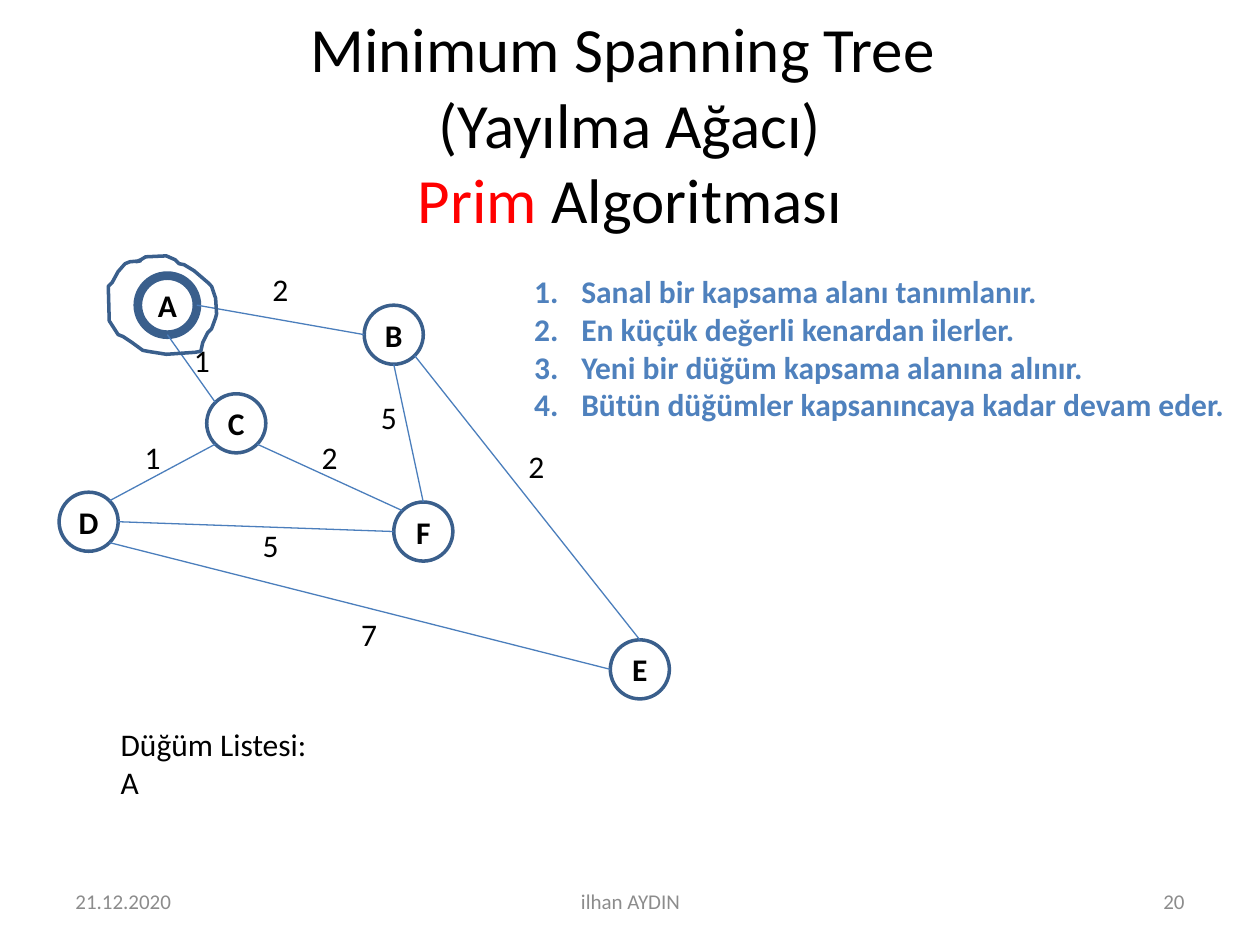
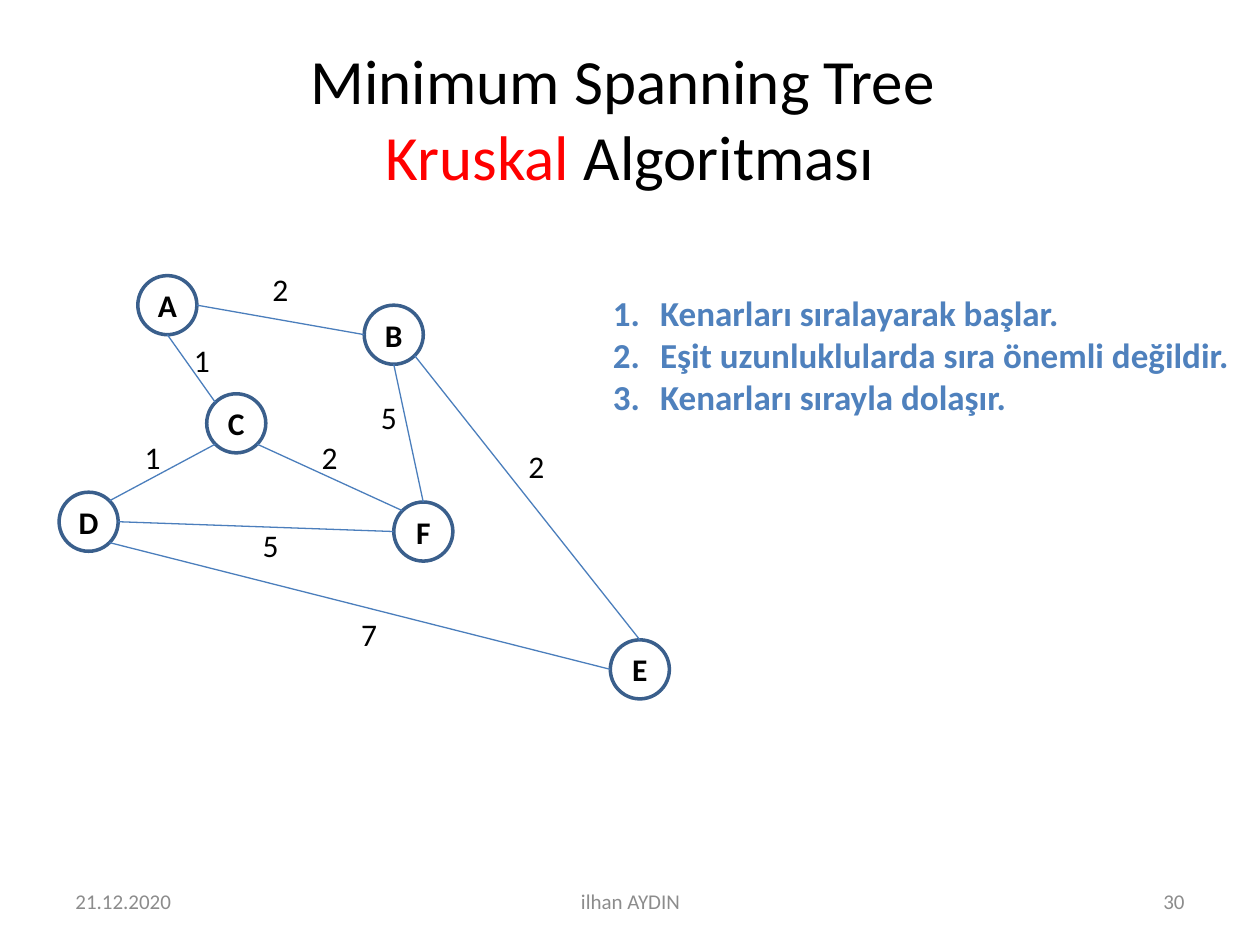
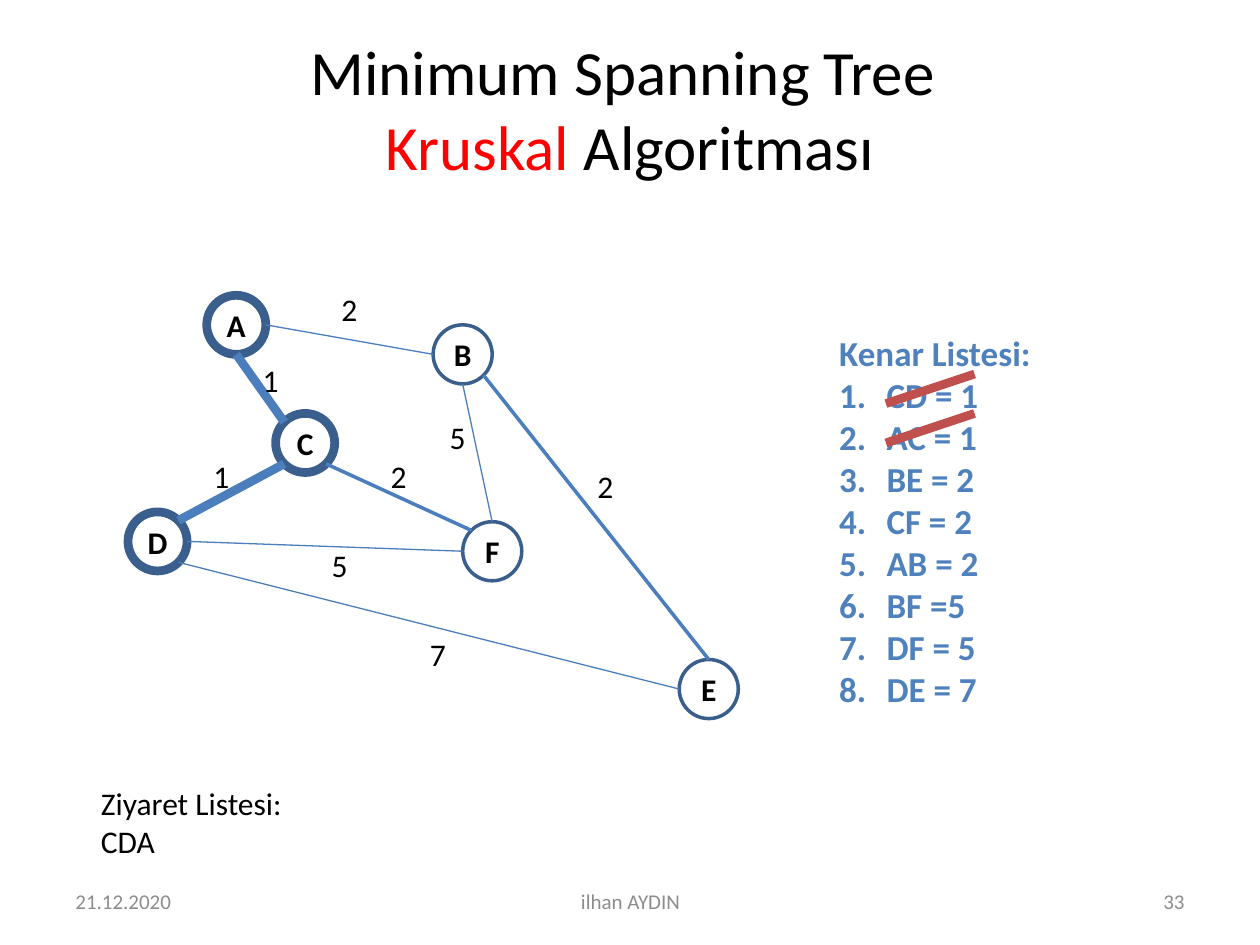
import math

from lxml import etree
from pptx import Presentation
from pptx import util as u
from pptx.dml.color import RGBColor
from pptx.enum import shapes, text
from pptx.oxml import ns

# Shared style
BLACK = RGBColor(0x00, 0x00, 0x00)
RED = RGBColor(0xFF, 0x00, 0x00)
GREY = RGBColor(0x8C, 0x8C, 0x8C)
LIST_BLUE = RGBColor(0x4F, 0x81, 0xBD)
NODE_BLUE = RGBColor(0x3A, 0x5F, 0x8C)
EDGE_BLUE = RGBColor(0x4B, 0x7E, 0xBC)
STRIKE_RED = RGBColor(0xC0, 0x50, 0x4D)
FONT = "Calibri"
LEFT, CENTER, RIGHT = text.PP_ALIGN.LEFT, text.PP_ALIGN.CENTER, text.PP_ALIGN.RIGHT
TOP, MIDDLE = text.MSO_ANCHOR.TOP, text.MSO_ANCHOR.MIDDLE

# The slide is a grid of 128 columns and 96 rows with square cells
COLUMNS, ROWS = 128, 96
WIDTH, HEIGHT = u.Inches(10), u.Inches(7.5)
CELL = WIDTH / COLUMNS

# The graph: node corners, edges with their end directions, weights and label corners
NODE_SIZE = 6
NODES = {"A": (14, 28), "C": (21, 40), "F": (40, 51),
         "D": (6, 50), "B": (37, 31), "E": (62, 65)}
EAST, SOUTH_EAST, SOUTH, SOUTH_WEST, WEST, NORTH_WEST, NORTH, NORTH_EAST = range(0, 360, 45)
EDGES = {
    "AB": (EAST, WEST, "2", (26, 27)),
    "DF": (EAST, WEST, "5", (25, 53)),
    "CF": (SOUTH_EAST, NORTH_WEST, "2", (31, 44)),
    "DC": (NORTH_EAST, SOUTH_WEST, "1", (13, 44)),
    "AC": (SOUTH, NORTH_WEST, "1", (18, 34.2)),
    "BE": (SOUTH_EAST, NORTH, "2", (52, 45)),
    "DE": (SOUTH_EAST, WEST, "7", (35, 62)),
    "BF": (SOUTH, NORTH, "5", (37, 40)),
}
THIN, MEDIUM, THICK = 0.75, 2, 5

# Hand-drawn boundary round the covered node A
COVER = [
    (14.3, 26.5), (13.2, 26.6), (12.7, 26.8), (12, 27.6), (11.4, 28.7), (11, 29.1),
    (11.1, 32.6), (12, 34), (12.5, 34.2), (13.4, 34.8), (14.5, 35.6), (15, 35.7),
    (16.9, 36), (19.8, 35.8), (20.4, 35.7), (20.6, 34.8), (21.1, 33.8), (21.5, 33.4),
    (21.9, 32.3), (22, 31.9), (21.9, 30.3), (21.5, 29.1), (21.1, 28.7), (19.7, 27.5),
    (18.7, 26.9), (18.2, 26.8), (17.8, 26.4), (16.9, 26), (14.8, 26.1), (14.3, 26.4),
    (13.8, 26.6),
]


def cells(*lengths):
    return [u.Emu(round(length * CELL)) for length in lengths]


def number(paragraph):
    properties = paragraph._p.get_or_add_pPr()
    properties.set("marL", str(u.Inches(0.375)))
    properties.set("indent", str(-u.Inches(0.375)))
    etree.SubElement(properties, ns.qn("a:buFont"), typeface="+mj-lt")
    etree.SubElement(properties, ns.qn("a:buAutoNum"), type="arabicPeriod")


def write(frame, paragraphs, size=18, color=BLACK, bold=False, align=LEFT,
          anchor=TOP, wrap=True, numbered_from=None):
    """Fill a frame; a paragraph is a string or a list of (words, colour) runs."""
    frame.word_wrap = wrap
    frame.vertical_anchor = anchor
    for index, runs in enumerate(paragraphs):
        paragraph = frame.add_paragraph() if index else frame.paragraphs[0]
        paragraph.alignment = align
        if numbered_from is not None and index >= numbered_from:
            number(paragraph)
        for words, run_color in [(runs, color)] if isinstance(runs, str) else runs:
            for line_index, line in enumerate(words.split("\n")):
                if line_index:
                    paragraph.add_line_break()
                if line:
                    run = paragraph.add_run()
                    run.text = line
                    run.font.name, run.font.size = FONT, u.Pt(size)
                    run.font.bold, run.font.color.rgb = bold, run_color


class Deck:
    def __init__(self):
        self.presentation = Presentation()
        self.presentation.slide_width = WIDTH
        self.presentation.slide_height = HEIGHT
        self.slide = None

    def new_slide(self, page, title_rows, heading, algorithm):
        self.slide = self.presentation.slides.add_slide(self.presentation.slide_layouts[6])
        top, height = title_rows
        title = [(heading, BLACK), (algorithm, RED), (" Algoritması", BLACK)]
        self.words((6.4, top, 115.2, height), [title], size=36, align=CENTER, anchor=MIDDLE)
        for left, width, footer, align in ((6.4, 29.8, "21.12.2020", LEFT),
                                           (91.8, 29.8, page, RIGHT),
                                           (43.8, 40.5, "ilhan AYDIN", CENTER)):
            self.words((left, 89, width, 5.1), [footer], size=12, color=GREY,
                       align=align, anchor=MIDDLE)

    def words(self, area, paragraphs, **style):
        box = self.slide.shapes.add_textbox(*cells(*area))
        write(box.text_frame, paragraphs, **style)

    def steps(self, area, items, size=20, numbered_from=0):
        self.words(area, items, size=size, color=LIST_BLUE, bold=True, wrap=False,
                   numbered_from=numbered_from)

    def outline(self, shape, weight):
        shape.shadow.inherit = False
        shape.fill.background()
        shape.line.color.rgb = NODE_BLUE
        shape.line.width = u.Pt(weight)

    def node(self, name, left, top, weight):
        circle = self.slide.shapes.add_shape(
            shapes.MSO_SHAPE.OVAL, *cells(left, top, NODE_SIZE, NODE_SIZE))
        self.outline(circle, weight)
        frame = circle.text_frame
        frame.margin_left = frame.margin_right = frame.margin_top = frame.margin_bottom = 0
        write(frame, [name], bold=True, align=CENTER, anchor=MIDDLE, wrap=False)

    def line(self, start, end, color, weight):
        connector = self.slide.shapes.add_connector(
            shapes.MSO_CONNECTOR.STRAIGHT, *cells(*start, *end))
        connector.line.color.rgb = color
        connector.line.width = u.Pt(weight)
        etree.SubElement(connector._element.spPr, ns.qn("a:effectLst"))

    def boundary(self, points):
        builder = self.slide.shapes.build_freeform(*cells(*points[0]))
        builder.add_line_segments([cells(*point) for point in points[1:]], close=True)
        self.outline(builder.convert_to_shape(), MEDIUM)

    def graph(self, shift=(0, 0), visited="", edge_weights=None):
        across, down = shift

        def rim(name, degrees):
            left, top = NODES[name]
            radius, angle = NODE_SIZE / 2, math.radians(degrees)
            return (left + across + radius * (1 + math.cos(angle)),
                    top + down + radius * (1 + math.sin(angle)))

        for name, (left, top) in NODES.items():
            self.node(name, left + across, top + down, THICK if name in visited else MEDIUM)
        for (first, second), (leave, arrive, _, _) in EDGES.items():
            weight = (edge_weights or {}).get(first + second, THIN)
            self.line(rim(first, leave), rim(second, arrive), EDGE_BLUE, weight)
        for _, _, cost, (left, top) in EDGES.values():
            self.words((left + across, top + down, 5, 4.75), [cost],
                       align=CENTER, anchor=MIDDLE)


def main():
    deck = Deck()

    # Prim: rules and first covered node
    deck.new_slide("20", (4, 17), "Minimum Spanning Tree \n(Yayılma Ağacı)\n", "Prim")
    deck.graph(visited="A")
    deck.boundary(COVER)
    deck.steps((53, 27, 73.2, 16.8), [
        "Sanal bir kapsama alanı tanımlanır.",
        "En küçük değerli kenardan ilerler.",
        "Yeni bir düğüm kapsama alanına alınır.",
        "Bütün düğümler kapsanıncaya kadar devam eder.",
    ], size=18)
    deck.words((11, 73, 21.8, 9), ["Düğüm Listesi:", "A"], wrap=False)

    # Kruskal: rules
    deck.new_slide("30", (3.84, 16.1), "Minimum Spanning Tree \n", "Kruskal")
    deck.graph()
    deck.steps((61, 29, 65.7, 14.2), [
        "Kenarları sıralayarak başlar.",
        "Eşit uzunluklularda sıra önemli değildir.",
        "Kenarları sırayla dolaşır.",
    ])

    # Kruskal: two edges taken
    deck.new_slide("33", (3.84, 14.2), "Minimum Spanning Tree \n", "Kruskal")
    deck.graph(shift=(7, 2), visited="ACD",
               edge_weights={"CF": MEDIUM, "BE": MEDIUM, "DC": THICK, "AC": THICK})
    deck.words((9, 79, 78, 9), ["Ziyaret Listesi:", "CDA"])
    deck.steps((84, 33, 22, 44.4), [
        "Kenar Listesi:", "CD = 1", "AC = 1", "BE = 2", "CF = 2",
        "AB = 2", "BF =5", "DF = 5", "DE = 7",
    ], numbered_from=1)
    for strike_row in (41, 45):
        deck.line((90, strike_row), (99, strike_row - 3), STRIKE_RED, THICK)

    deck.presentation.save("out.pptx")


if __name__ == "__main__":
    main()
